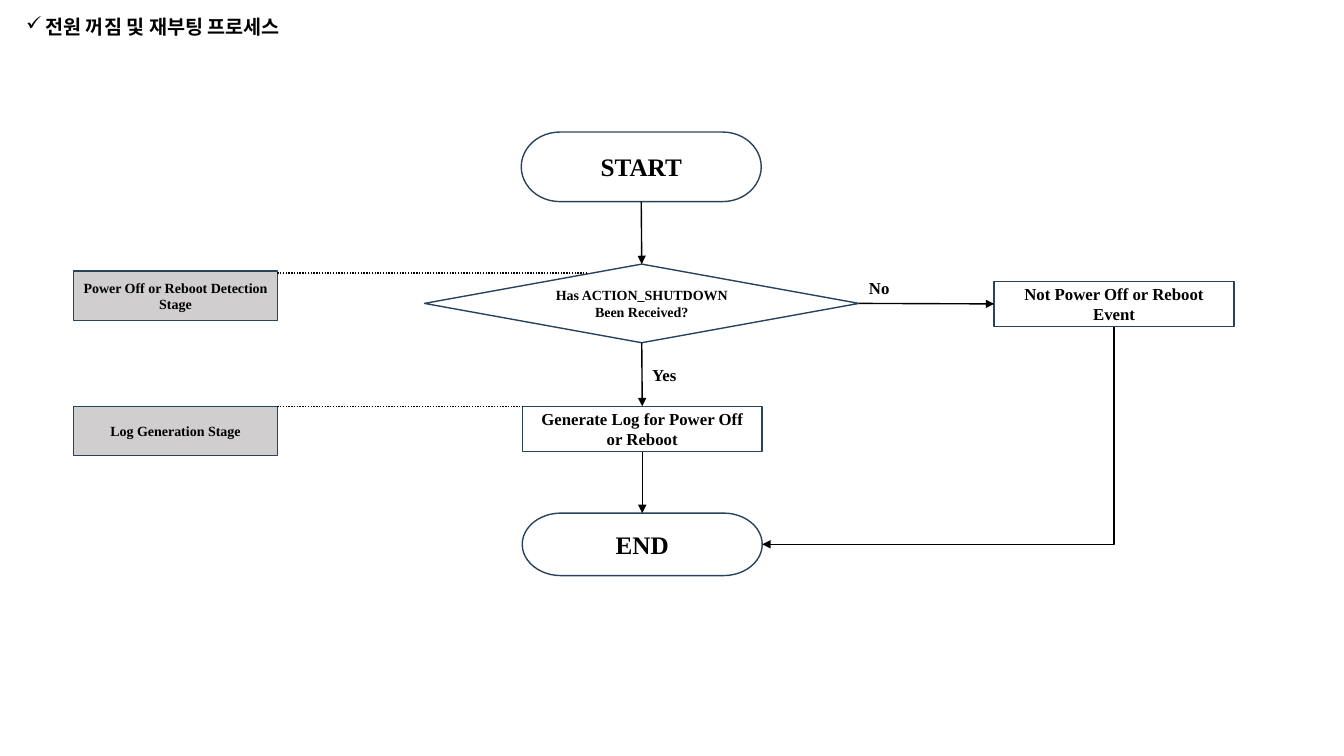
from dataclasses import dataclass

from lxml import etree
from pptx import Presentation
from pptx.dml.color import RGBColor
from pptx.enum import dml, shapes, text
from pptx.oxml import ns
from pptx.util import Inches, Pt

TOP, LEFT, BOTTOM, RIGHT = range(4)
SHAPE = shapes.MSO_SHAPE


@dataclass(frozen=True)
class Theme:
    ink: RGBColor = RGBColor(0x00, 0x00, 0x00)
    outline: RGBColor = RGBColor(0x28, 0x44, 0x5D)
    stage_fill: RGBColor = RGBColor(0xD0, 0xCE, 0xCE)
    title_font: str = "Noto Sans CJK KR"
    body_font: str = "Times New Roman"
    title_size: int = 14
    terminal_size: int = 18
    step_size: int = 12
    small_size: int = 10
    line_width: int = 1


THEME = Theme()


def add_xml(parent, tag, **attributes):
    return etree.SubElement(parent, ns.qn(tag), **attributes)


def write(frame, words, size, font=THEME.body_font, align=text.PP_ALIGN.CENTER):
    frame.word_wrap = True
    paragraph = frame.paragraphs[0]
    paragraph.alignment = align
    run = paragraph.add_run()
    run.text = words
    run.font.size = Pt(size)
    run.font.bold = True
    run.font.color.rgb = THEME.ink
    run.font.name = font
    add_xml(run.font._element, "a:ea", typeface=font)
    return paragraph


def add_title(slide, box, words):
    title = slide.shapes.title
    title.left, title.top, title.width, title.height = map(Inches, box)
    frame = title.text_frame
    frame.vertical_anchor = text.MSO_ANCHOR.TOP
    frame.auto_size = text.MSO_AUTO_SIZE.NONE
    paragraph = write(frame, words, THEME.title_size, THEME.title_font, text.PP_ALIGN.LEFT)
    properties = paragraph._p.get_or_add_pPr()
    properties.set("marL", str(Inches(0.19)))
    properties.set("indent", str(Inches(-0.19)))
    add_xml(properties, "a:buChar", char="✓")


def add_node(slide, kind, box, words, size, fill=None):
    node = slide.shapes.add_shape(kind, *map(Inches, box))
    node.shadow.inherit = False
    if fill is None:
        node.fill.background()
    else:
        node.fill.solid()
        node.fill.fore_color.rgb = fill
    node.line.color.rgb = THEME.outline
    node.line.width = Pt(THEME.line_width)
    node.text_frame.vertical_anchor = text.MSO_ANCHOR.MIDDLE
    write(node.text_frame, words, size)
    return node


def add_label(slide, left, top, words):
    label = slide.shapes.add_textbox(*map(Inches, (left, top, 0.7, 0.3)))
    write(label.text_frame, words, THEME.step_size, align=text.PP_ALIGN.LEFT)
    label.text_frame.auto_size = text.MSO_AUTO_SIZE.SHAPE_TO_FIT_TEXT


def add_line(slide, kind=shapes.MSO_CONNECTOR.STRAIGHT, start=(0, 0), end=(0, 0)):
    line = slide.shapes.add_connector(kind, *map(Inches, start + end))
    line.line.color.rgb = THEME.ink
    line.line.width = Pt(THEME.line_width)
    add_xml(line._element.spPr, "a:effectLst")
    return line


def add_arrow(slide, source, source_side, target, target_side, kind=shapes.MSO_CONNECTOR.STRAIGHT):
    arrow = add_line(slide, kind)
    arrow.begin_connect(source, source_side)
    arrow.end_connect(target, target_side)
    add_xml(arrow.line._get_or_add_ln(), "a:tailEnd", type="triangle")
    return arrow


def add_corner_arrow(slide, source, target):
    """Go down from the source, then left into the target's right side."""
    arrow = add_arrow(slide, source, BOTTOM, target, RIGHT, shapes.MSO_CONNECTOR.ELBOW)
    start_x, start_y = source.left + source.width // 2, source.top + source.height
    end_x, end_y = target.left + target.width, target.top + target.height // 2
    across, down = start_x - end_x, end_y - start_y
    properties = arrow._element.spPr
    transform = properties.find(ns.qn("a:xfrm"))
    for flip in ("flipH", "flipV"):
        transform.attrib.pop(flip, None)
    transform.set("rot", str(90 * 60000))
    properties.find(ns.qn("a:prstGeom")).set("prst", "bentConnector2")
    arrow.left = (start_x + end_x - down) // 2
    arrow.top = (start_y + end_y - across) // 2
    arrow.width, arrow.height = down, across


def add_flow(slide, left, top):
    """Draw the flowchart with its decision's left corner at left."""
    column = left + 0.97
    start = add_node(slide, SHAPE.FLOWCHART_TERMINATOR, (column - 0.01, top, 2.38, 0.69),
                     "START", THEME.terminal_size)
    decision = add_node(slide, SHAPE.FLOWCHART_DECISION, (left, top + 1.31, 4.31, 0.78),
                        "Has ACTION_SHUTDOWN Been Received?", THEME.small_size)
    log = add_node(slide, SHAPE.RECTANGLE, (column, top + 2.72, 2.38, 0.45),
                   "Generate Log for Power Off or Reboot", THEME.step_size)
    end = add_node(slide, SHAPE.FLOWCHART_TERMINATOR, (column, top + 3.78, 2.38, 0.62),
                   "END", THEME.terminal_size)
    other = add_node(slide, SHAPE.RECTANGLE, (left + 5.65, top + 1.48, 2.38, 0.45),
                     "Not Power Off or Reboot Event", THEME.step_size)
    for source, target in ((start, decision), (decision, log), (log, end)):
        add_arrow(slide, source, BOTTOM, target, TOP)
    add_arrow(slide, decision, RIGHT, other, LEFT)
    add_corner_arrow(slide, other, end)
    add_label(slide, left + 2.16, top + 2.26, "Yes")
    add_label(slide, left + 4.31, top + 1.4, "No")


def add_stage(slide, box, words, guide_y, guide_end):
    """Draw a stage name with a dotted guide to its step."""
    add_node(slide, SHAPE.RECTANGLE, box, words, THEME.small_size, THEME.stage_fill)
    guide = add_line(slide, start=(box[0] + box[2], guide_y), end=(guide_end, guide_y))
    guide.line.dash_style = dml.MSO_LINE.ROUND_DOT


def main():
    presentation = Presentation()
    presentation.slide_width, presentation.slide_height = Inches(13.33), Inches(7.5)
    slide = presentation.slides.add_slide(presentation.slide_layouts[5])
    add_title(slide, (0.16, 0.1, 3.33, 0.34), "전원 꺼짐 및 재부팅 프로세스")
    add_flow(slide, 4.21, 1.31)
    add_stage(slide, (0.73, 2.69, 2.02, 0.49), "Power Off or Reboot Detection Stage", 2.71, 5.82)
    add_stage(slide, (0.73, 4.03, 2.02, 0.49), "Log Generation Stage", 4.03, 5.18)
    presentation.save("out.pptx")


if __name__ == "__main__":
    main()
